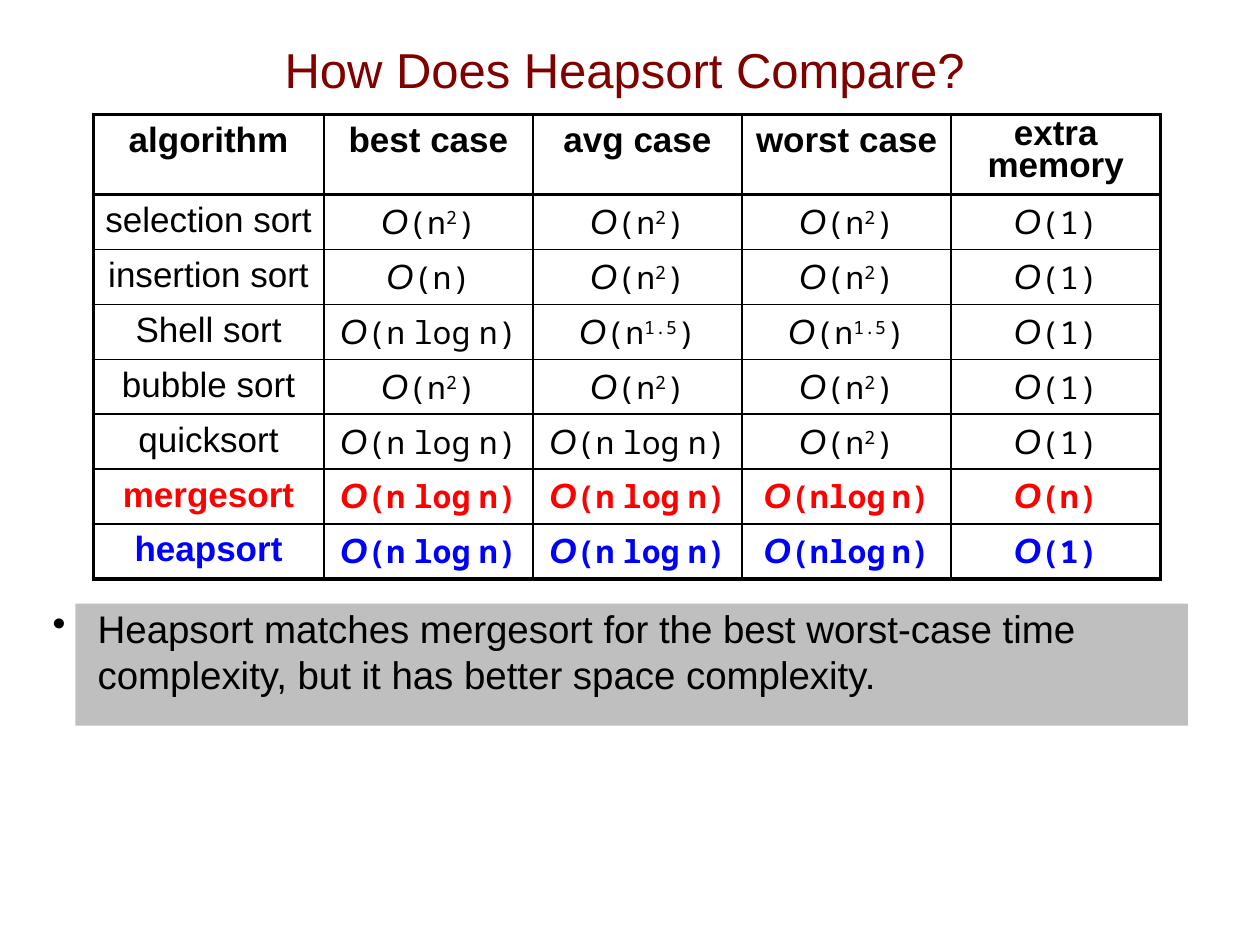
from lxml import etree
from pptx import Presentation
from pptx.dml.color import RGBColor
from pptx.enum.shapes import MSO_SHAPE as Shape
from pptx.enum.text import MSO_ANCHOR as Anchor, PP_ALIGN as Align
from pptx.oxml.ns import qn
from pptx.util import Cm, Pt

COLORS = {"title": "800000", "text": "000000", "panel": "BFBFBF",
          "mergesort": "FF0000", "heapsort": "0000FF"}
SANS, MONO = "Arial", "Noto Sans Mono"
THIN, THICK = Pt(1), Pt(2.25)

HEADERS = ["algorithm", "best case", "avg case", "worst case", "extra memory"]
ALGORITHMS = [
    ["selection sort", "n^2", "n^2", "n^2", "1"],
    ["insertion sort", "n", "n^2", "n^2", "1"],
    ["Shell sort", "n log n", "n^1.5", "n^1.5", "1"],
    ["bubble sort", "n^2", "n^2", "n^2", "1"],
    ["quicksort", "n log n", "n log n", "n^2", "1"],
    ["mergesort", "n log n", "n log n", "nlog n", "n"],
    ["heapsort", "n log n", "n log n", "nlog n", "1"],
]


def set_font(font, size, color="text", bold=False):
    font.name, font.size, font.bold = SANS, Pt(size), bold
    font.color.rgb = RGBColor.from_string(COLORS[color])


def add_run(paragraph, text, size=18, name=MONO):
    run = paragraph.add_run()
    run.text = text
    run.font.size, run.font.name = Pt(size), name
    return run


def add_complexity(paragraph, term):
    """Write O(term): ^ starts an exponent, a space becomes a narrow gap."""
    add_run(paragraph, "O", 20, SANS).font.italic = True
    if "^" in term:
        base, exponent = term.split("^")
        add_run(paragraph, f"({base}")
        add_run(paragraph, exponent).font._element.set("baseline", "30000")
        add_run(paragraph, ")")
        return
    gap_size = 8 if term.count(" ") == 2 else 6
    for index, part in enumerate(f"({term})".split(" ")):
        if index:
            add_run(paragraph, " ", gap_size)
        add_run(paragraph, part)


def set_borders(cell, widths):
    """Draw the left, right, top and bottom borders, in that order."""
    properties = cell._tc.get_or_add_tcPr()
    for side, width in zip("LRTB", widths):
        line = etree.SubElement(properties, qn(f"a:ln{side}"), w=str(width))
        fill = etree.SubElement(line, qn("a:solidFill"))
        etree.SubElement(fill, qn("a:srgbClr"), val=COLORS["text"])


def add_text_box(slide, left, top, width, height):
    frame = slide.shapes.add_textbox(left, top, width, height).text_frame
    frame.word_wrap = True
    return frame


def add_title(slide, left, top, width, height):
    frame = add_text_box(slide, left, top, width, height)
    frame.vertical_anchor = Anchor.MIDDLE
    paragraph = frame.paragraphs[0]
    paragraph.text = "How Does Heapsort Compare?"
    paragraph.alignment = Align.CENTER
    set_font(paragraph.font, 28, "title")


def add_comparison_table(slide, left, top, width, height):
    rows = [HEADERS] + ALGORITHMS
    last_row, last_column = len(rows) - 1, len(HEADERS) - 1
    table = slide.shapes.add_table(len(rows), len(HEADERS),
                                   left, top, width, height).table
    table.first_row = table.horz_banding = False
    name_width, header_height = Cm(4.65), Cm(1.6)
    for index, column in enumerate(table.columns):
        column.width = (width - name_width) // last_column if index else name_width
    for index, row in enumerate(table.rows):
        row.height = (height - header_height) // last_row if index else header_height

    for r, values in enumerate(rows):
        color = values[0] if values[0] in COLORS else "text"
        for c, value in enumerate(values):
            cell = table.cell(r, c)
            set_borders(cell, [THICK if c == 0 else THIN,
                               THICK if c == last_column else THIN,
                               THICK if r <= 1 else THIN,
                               THICK if r in (0, last_row) else THIN])
            cell.fill.background()
            paragraph = cell.text_frame.paragraphs[0]
            paragraph.alignment = Align.CENTER
            set_font(paragraph.font, 20, color, bold=r == 0 or color != "text")
            if r and c:
                add_complexity(paragraph, value)
            else:
                paragraph.text = value
            if r and c == 0:
                cell.margin_left = cell.margin_right = 0
            if r == 0 and c == last_column:
                paragraph.line_spacing = 0.8


def add_conclusion(slide, left, top, width, height):
    panel = slide.shapes.add_shape(Shape.RECTANGLE, left, top, width, height)
    panel.shadow.inherit = False
    panel.fill.solid()
    panel.fill.fore_color.rgb = RGBColor.from_string(COLORS["panel"])
    panel.line.fill.background()

    frame = add_text_box(slide, left - Cm(0.71), top - Cm(0.1),
                         width + Cm(1.8), height)
    paragraph = frame.paragraphs[0]
    paragraph.text = ("Heapsort matches mergesort for the best worst-case time "
                      "complexity, but it has better space complexity.")
    set_font(paragraph.font, 22)
    properties = paragraph._p.get_or_add_pPr()
    indent = Cm(0.91)
    properties.set("marL", str(indent))
    properties.set("indent", str(-indent))
    bullet = etree.Element(qn("a:buChar"), char="•")
    properties.insert(0, bullet)


def main():
    presentation = Presentation()
    presentation.slide_width, presentation.slide_height = Cm(25.4), Cm(19.05)
    slide = presentation.slides.add_slide(presentation.slide_layouts[6])
    add_conclusion(slide, Cm(1.52), Cm(12.17), Cm(22.43), Cm(2.46))
    add_title(slide, Cm(0.84), Cm(0.2), Cm(23.5), Cm(2.36))
    add_comparison_table(slide, Cm(1.88), Cm(2.31), Cm(21.51), Cm(9.35))
    presentation.save("out.pptx")


if __name__ == "__main__":
    main()
